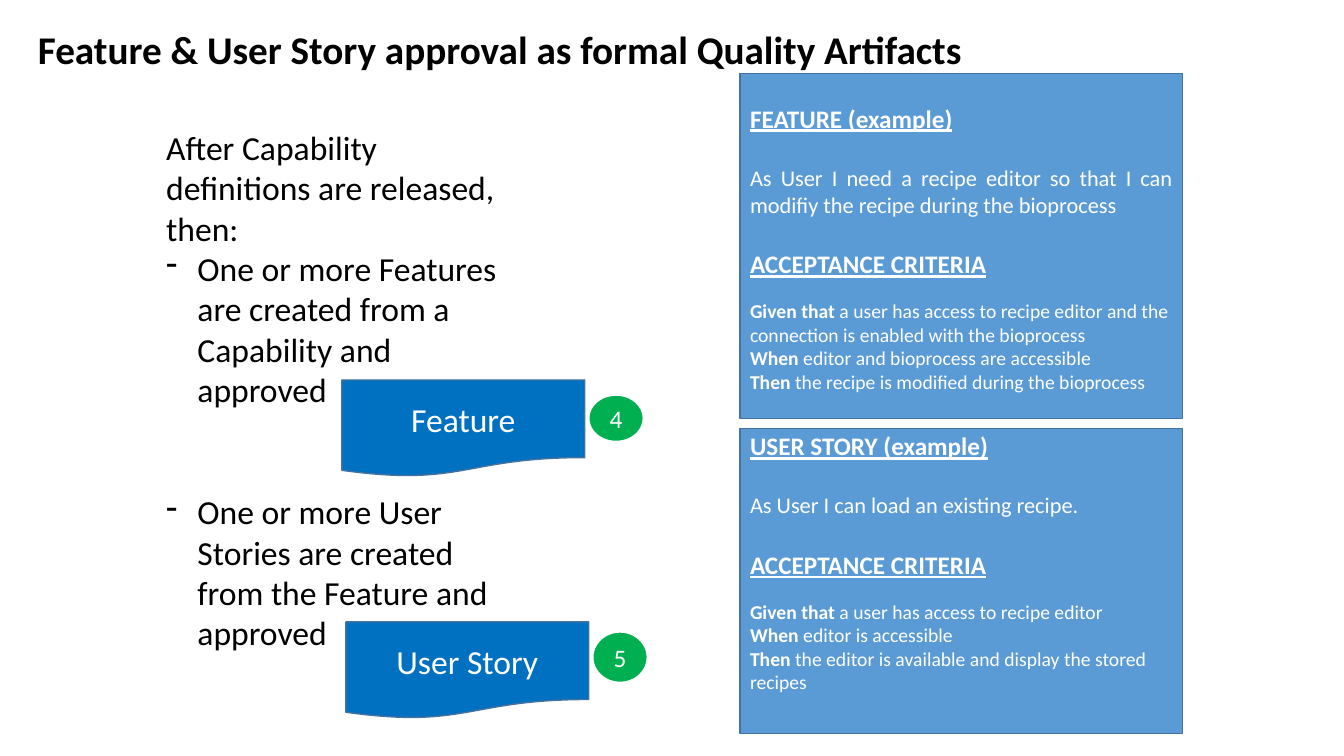
from dataclasses import dataclass

import pptx
import pptx.dml.color
import pptx.enum.shapes
import pptx.enum.text
import pptx.oxml.ns
import pptx.util
from lxml import etree

Inches = pptx.util.Inches
Pt = pptx.util.Pt
Kind = pptx.enum.shapes.MSO_SHAPE
Align = pptx.enum.text.PP_ALIGN
Anchor = pptx.enum.text.MSO_ANCHOR

HEX = {"card": "5B9BD5", "edge": "43739E", "doc": "0070C0",
       "badge": "00B050", "white": "FFFFFF", "black": "000000"}
BIG_GAP = 22
GAP = 14.6


@dataclass
class Item:
    name: str
    left: float
    top: float
    mark: str
    mark_top: float
    mark_high: float


@dataclass
class Card:
    head: str
    need: str
    steps: list[tuple[str, str]]
    top: float
    high: float
    inset: float


ITEMS = [
    Item("Feature", 3.39, 3.77, "4", 3.92, 0.46),
    Item("User Story", 3.43, 6.17, "5", 6.27, 0.5),
]
CARDS = [
    Card("FEATURE (example)",
         "As User I need a recipe editor so that I can modifiy the recipe during the bioprocess",
         [("Given that", " a user has access to recipe editor and the connection is enabled with the bioprocess"),
          ("When", " editor and bioprocess are accessible"),
          ("Then", " the recipe is modified during the bioprocess")],
         0.73, 3.42, 0.29),
    Card("USER STORY (example)",
         "As User I can load an existing recipe.",
         [("Given that", " a user has access to recipe editor"),
          ("When", " editor is accessible"),
          ("Then", " the editor is available and display the stored recipes")],
         4.25, 3.03, 0.02),
]


def paint(color, name: str) -> None:
    color.rgb = pptx.dml.color.RGBColor.from_string(HEX[name])


def write(frame, text: str, *, size: float, color: str = "white", lead: str = "",
          bold: bool = False, under: bool = False, align=Align.LEFT,
          before: float = 0, bullet: bool = False, line: float = 1.0) -> None:
    used = any(para.runs for para in frame.paragraphs)
    para = frame.add_paragraph() if used else frame.paragraphs[0]
    para.alignment = align
    para.space_before = Pt(before)
    para.line_spacing = line
    if bullet:
        props = para._p.get_or_add_pPr()
        props.set("marL", str(Inches(0.31)))
        props.set("indent", str(-Inches(0.31)))
        etree.SubElement(props, pptx.oxml.ns.qn("a:buChar")).set("char", "-")
    for part, heavy in ((lead, True), (text, bold)):
        if part:
            run = para.add_run()
            run.text = part
            run.font.name = "Calibri"
            run.font.size = Pt(size)
            run.font.bold = heavy
            run.font.underline = under
            paint(run.font.color, color)


def block(slide, kind, left: float, top: float, wide: float, high: float,
          fill: str, edge: str):
    shape = slide.shapes.add_shape(kind, Inches(left), Inches(top), Inches(wide), Inches(high))
    shape.shadow.inherit = False
    shape.fill.solid()
    paint(shape.fill.fore_color, fill)
    paint(shape.line.color, edge)
    shape.line.width = Pt(1)
    shape.text_frame.word_wrap = True
    shape.text_frame.vertical_anchor = Anchor.MIDDLE
    return shape.text_frame


def draw_card(slide, card: Card) -> None:
    frame = block(slide, Kind.RECTANGLE, 7.34, card.top, 4.39, card.high, "card", "edge")
    frame.vertical_anchor = Anchor.TOP
    frame.margin_top = Inches(card.inset)
    write(frame, card.head, size=18, bold=True, under=True)
    write(frame, card.need, size=16, before=BIG_GAP, align=Align.JUSTIFY)
    write(frame, "ACCEPTANCE CRITERIA", size=18, bold=True, under=True, before=BIG_GAP)
    for spot, (lead, text) in enumerate(card.steps):
        write(frame, text, lead=lead, size=14, before=0 if spot else GAP)


def draw_item(slide, item: Item) -> None:
    frame = block(slide, Kind.FLOWCHART_DOCUMENT, item.left, item.top, 2.41, 0.96, "doc", "edge")
    write(frame, item.name, size=24, align=Align.CENTER)
    frame = block(slide, Kind.OVAL, item.left + 2.45, item.mark_top, 0.54, item.mark_high,
                  "badge", "white")
    frame.margin_left = frame.margin_right = 0
    write(frame, item.mark, size=18, align=Align.CENTER)


def draw_title(slide) -> None:
    title = slide.shapes.title
    title.left, title.top = Inches(0.13), Inches(0.25)
    title.width, title.height = Inches(9.65), Inches(0.96)
    frame = title.text_frame
    frame.auto_size = pptx.enum.text.MSO_AUTO_SIZE.NONE
    frame.vertical_anchor = Anchor.TOP
    write(frame, "Feature & User Story approval as formal Quality Artifacts",
          size=28, color="black", bold=True, align=Align.CENTER, line=0.9)


def draw_body(slide) -> None:
    box = slide.shapes.add_textbox(Inches(1.55), Inches(1.21), Inches(3.72), Inches(5.76))
    frame = box.text_frame
    frame.word_wrap = True
    write(frame, "After Capability definitions are released, then:", size=24, color="black")
    write(frame, "One or more Features are created from a Capability and approved",
          size=24, color="black", bullet=True)
    write(frame, "One or more User Stories are created from the Feature and approved",
          size=24, color="black", bullet=True, before=58.6)


def main() -> None:
    deck = pptx.Presentation()
    deck.slide_width, deck.slide_height = Inches(13.33), Inches(7.5)
    slide = deck.slides.add_slide(deck.slide_layouts[5])
    draw_title(slide)
    for card in CARDS:
        draw_card(slide, card)
    draw_body(slide)
    for item in ITEMS:
        draw_item(slide, item)
    deck.save("out.pptx")


if __name__ == "__main__":
    main()
